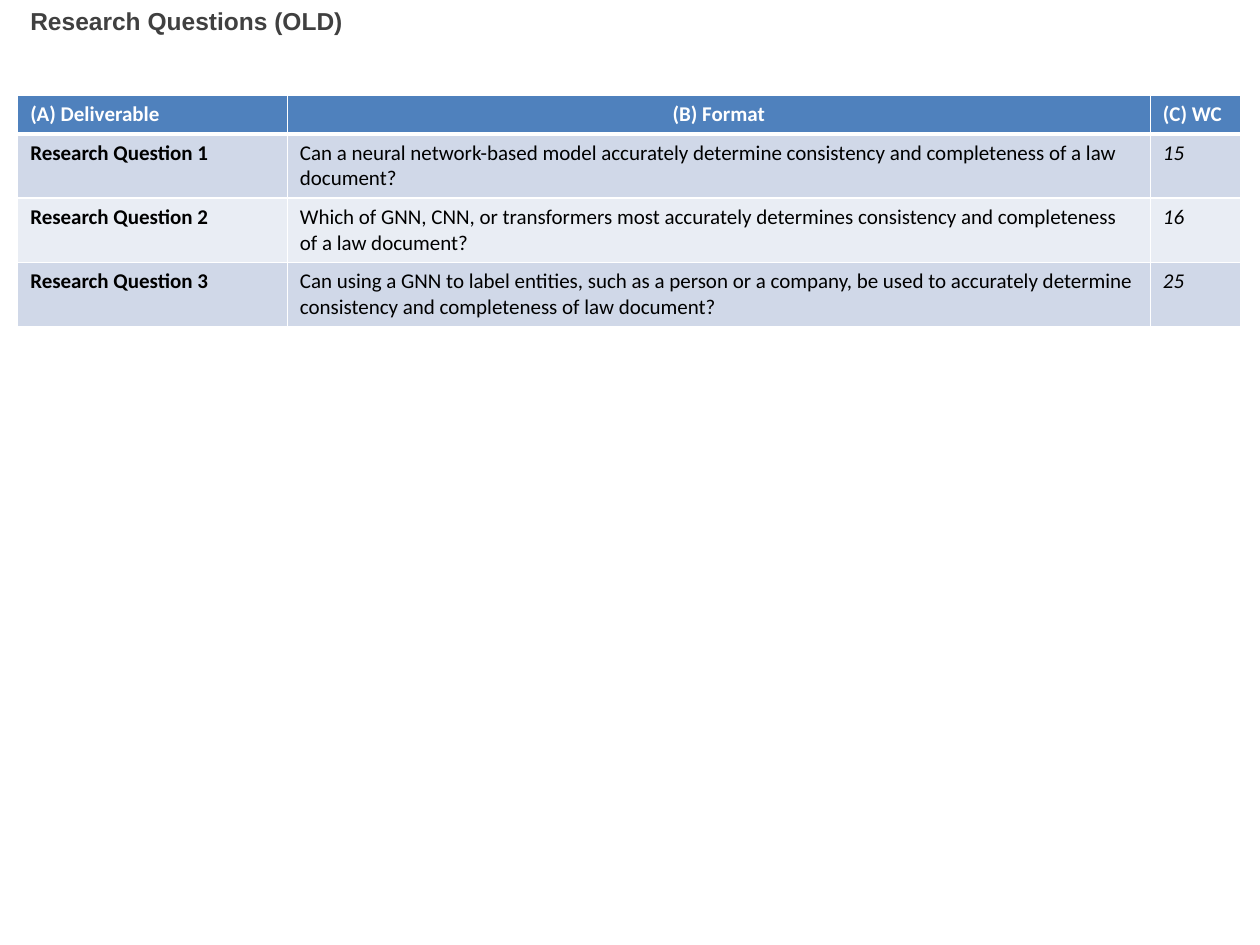
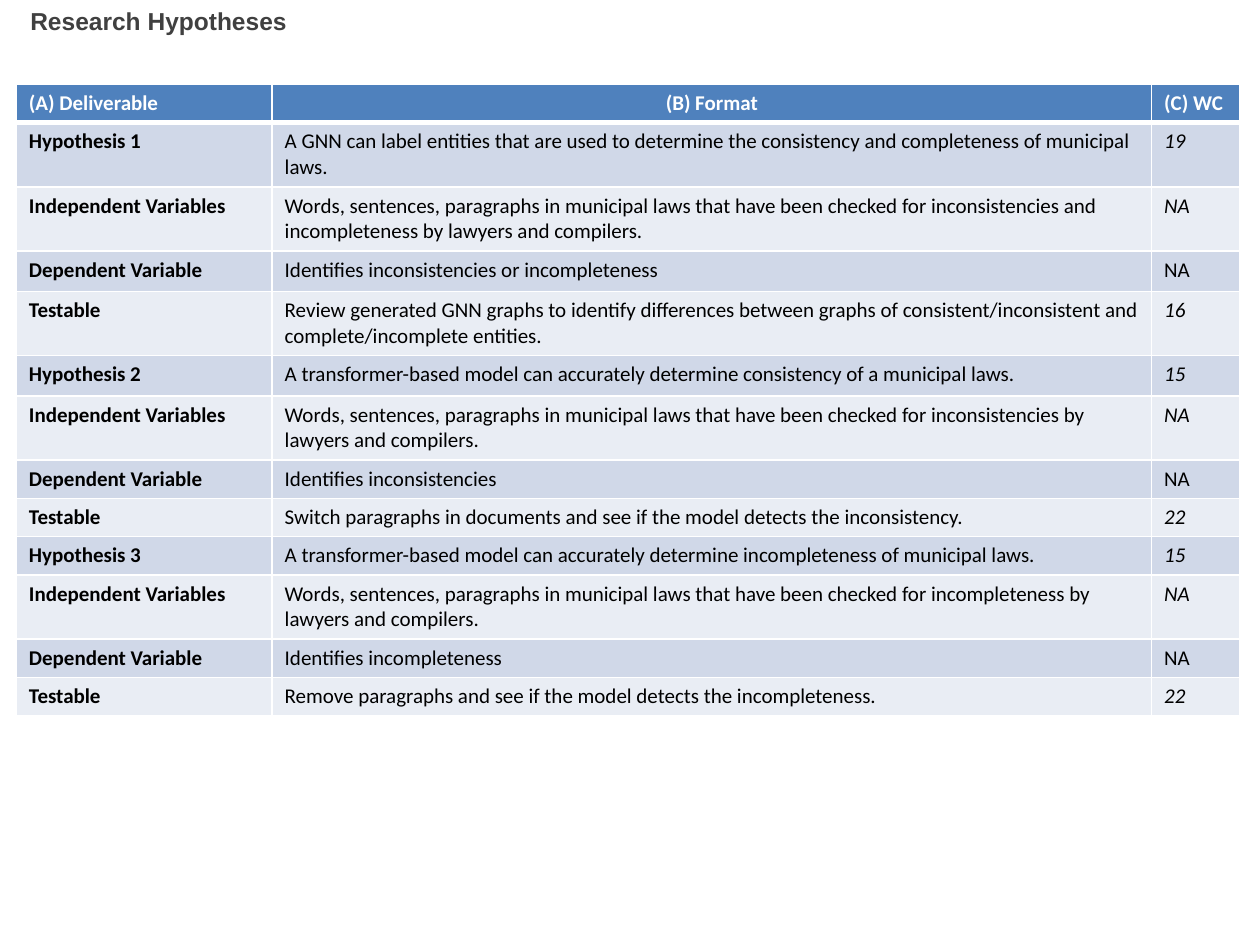
from lxml.etree import SubElement
from pptx import Presentation
from pptx.dml.color import RGBColor
from pptx.enum.text import MSO_ANCHOR, MSO_AUTO_SIZE, PP_ALIGN
from pptx.oxml.ns import qn
from pptx.util import Inches, Pt

COLORS = {"header": "4F81BD", "odd": "D0D8E8", "even": "E9EDF4",
          "white": "FFFFFF", "text": "000000", "title": "404040"}
TITLE_BOX = (0.14, 0, 8.48, 0.68)
HEADINGS = ("(A) Deliverable", "(B) Format", "(C) WC")
ONE_LINE, LOOSE_LINE, TWO_LINES = 0.3, 0.32, 0.51
THIN, THICK = 1, 3

QUESTIONS = [
    (TWO_LINES, "Research Question 1", "Can a neural network-based model accurately determine "
     "consistency and completeness of a law document?", "15"),
    (TWO_LINES, "Research Question 2", "Which of GNN, CNN, or transformers most accurately "
     "determines consistency and completeness of a law document?", "16"),
    (TWO_LINES, "Research Question 3", "Can using a GNN to label entities, such as a person or a "
     "company, be used to accurately determine consistency and completeness of law document?", "25"),
]


def hypothesis(number, claim, words, flaws, finding, test, test_words, heights):
    """Return the four table rows that describe one hypothesis."""
    checked = ("Words, sentences, paragraphs in municipal laws that have been checked for "
               f"{flaws} by lawyers and compilers.")
    rows = [(f"Hypothesis {number}", claim, words),
            ("Independent Variables", checked, "NA"),
            ("Dependent Variable", f"Identifies {finding}", "NA"),
            ("Testable", test, test_words)]
    return [(height, *row) for height, row in zip(heights, rows)]


HYPOTHESES = [
    *hypothesis(1, "A GNN can label entities that are used to determine the consistency and "
                "completeness of municipal laws.", "19",
                "inconsistencies and incompleteness", "inconsistencies or incompleteness",
                "Review generated GNN graphs to identify differences between graphs of "
                "consistent/inconsistent and complete/incomplete entities.", "16",
                (TWO_LINES, TWO_LINES, LOOSE_LINE, TWO_LINES)),
    *hypothesis(2, "A transformer-based model can accurately determine consistency of a "
                "municipal laws.", "15", "inconsistencies", "inconsistencies",
                "Switch paragraphs in documents and see if the model detects the inconsistency.",
                "22", (LOOSE_LINE, TWO_LINES, ONE_LINE, ONE_LINE)),
    *hypothesis(3, "A transformer-based model can accurately determine incompleteness of "
                "municipal laws.", "15", "incompleteness", "incompleteness",
                "Remove paragraphs and see if the model detects the incompleteness.",
                "22", (ONE_LINE, TWO_LINES, ONE_LINE, ONE_LINE)),
]


def write(tf, text, font="Calibri", size=12, color="text", bold=False, italic=False,
          align=PP_ALIGN.LEFT):
    """Put one formatted paragraph in a text frame."""
    p = tf.paragraphs[0]
    p.alignment = align
    r = p.add_run()
    r.text = text
    r.font.name, r.font.size = font, Pt(size)
    r.font.bold, r.font.italic = bold, italic
    r.font.color.rgb = RGBColor.from_string(COLORS[color])


def style_cell(cell, fill, top=THIN, bottom=THIN):
    """Give a cell white borders and a solid fill."""
    tcPr = cell._tc.get_or_add_tcPr()
    for side, width in (("L", THIN), ("R", THIN), ("T", top), ("B", bottom)):
        ln = SubElement(tcPr, qn(f"a:ln{side}"), w=str(Pt(width)))
        SubElement(SubElement(ln, qn("a:solidFill")), qn("a:srgbClr"), val=COLORS["white"])
    cell.fill.solid()
    cell.fill.fore_color.rgb = RGBColor.from_string(COLORS[fill])


def add_title(s, text, box):
    """Move and fill the title placeholder."""
    sp = s.shapes.title
    sp.left, sp.top, sp.width, sp.height = map(Inches, box)
    tf = sp.text_frame
    tf.auto_size, tf.word_wrap = MSO_AUTO_SIZE.NONE, True
    tf.vertical_anchor = MSO_ANCHOR.TOP
    write(tf, text, font="Arial", size=14, color="title", bold=True)


def add_deliverables(s, rows, left, top, columns):
    """Draw the deliverables table from its top left corner."""
    heights = [ONE_LINE] + [row[0] for row in rows]
    table = s.shapes.add_table(len(heights), len(columns), Inches(left), Inches(top),
                               Inches(sum(columns)), Inches(sum(heights))).table
    for column, width in zip(table.columns, columns):
        column.width = Inches(width)
    for row, height in zip(table.rows, heights):
        row.height = Inches(height)
    for c, heading in enumerate(HEADINGS):
        cell = table.cell(0, c)
        style_cell(cell, "header", bottom=THICK)
        write(cell.text_frame, heading, color="white", bold=True,
              align=PP_ALIGN.CENTER if c == 1 else PP_ALIGN.LEFT)
    for i, (_, *texts) in enumerate(rows, start=1):
        for c, text in enumerate(texts):
            cell = table.cell(i, c)
            style_cell(cell, "odd" if i % 2 else "even", top=THICK if i == 1 else THIN)
            write(cell.text_frame, text, bold=c == 0,
                  italic=c == 2 and texts[0] != "Dependent Variable")


def add_table_slide(prs, title, rows, left, top, columns):
    """Add a slide with a title and a deliverables table."""
    s = prs.slides.add_slide(prs.slide_layouts[5])
    add_title(s, title, TITLE_BOX)
    add_deliverables(s, rows, left, top, columns)


def main():
    """Build and save the two slides."""
    prs = Presentation()
    prs.slide_width, prs.slide_height = Inches(10), Inches(7.5)
    add_table_slide(prs, "Research Questions (OLD)", QUESTIONS, 0.14, 0.76, (2.14, 6.85, 0.72))
    add_table_slide(prs, "Research Hypotheses", HYPOTHESES, 0.13, 0.67, (2.03, 6.98, 0.7))
    prs.save("out.pptx")


if __name__ == "__main__":
    main()
